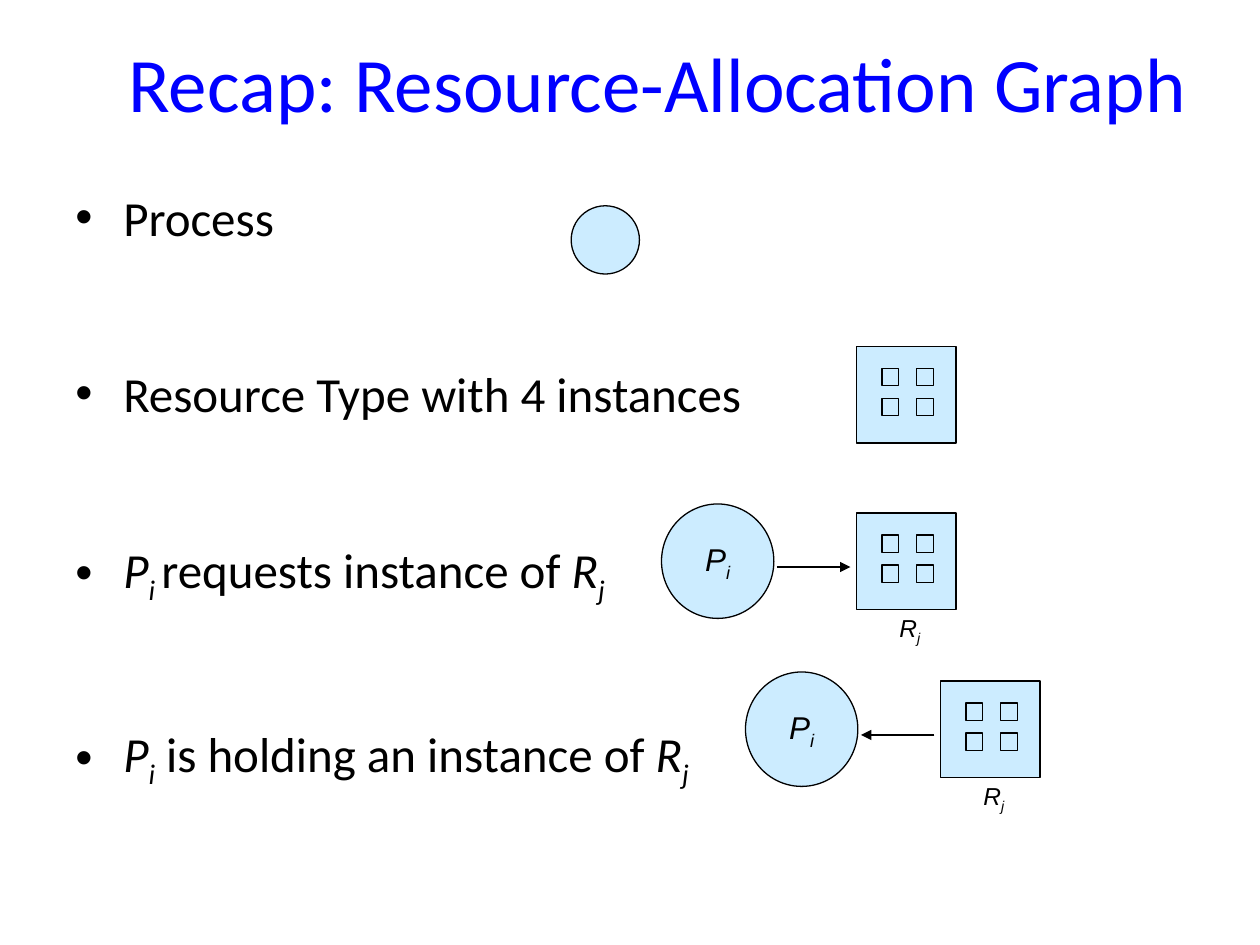
import pptx
import pptx.dml.color
import pptx.enum.shapes
import pptx.enum.text
import pptx.oxml
import pptx.oxml.ns
import pptx.util

COLOURS = {"title": "0000FF", "text": "000000", "line": "000000", "fill": "CCECFF"}
COLUMNS, ROWS = 120, 90
SHAPES = pptx.enum.shapes.MSO_SHAPE
ALIGN = pptx.enum.text.PP_ALIGN
MIDDLE = pptx.enum.text.MSO_ANCHOR.MIDDLE

# A label is a list of (text, style) spans.
PROCESS = [("P", "italic"), ("i", "sub")]
RESOURCE = [("R", "italic"), ("j", "sub")]
BULLETS = [
    [("Process", "plain")],
    [("Resource Type with 4 instances", "plain")],
    [("P", "italic"), ("i ", "sub"), ("requests instance of ", "plain")] + RESOURCE,
    PROCESS + [(" is holding an instance of ", "plain")] + RESOURCE,
]


def colour(name):
    return pptx.dml.color.RGBColor.from_string(COLOURS[name])


def add_xml(parent, tag, attributes=""):
    namespace = pptx.oxml.ns.nsdecls("a")
    parent.append(pptx.oxml.parse_xml(f"<a:{tag} {namespace} {attributes}/>"))


class Diagram:
    """Holds the slide and its style; lengths are columns and rows."""

    def __init__(self, deck):
        self.page = deck.slides.add_slide(deck.slide_layouts[6])
        self.column = deck.slide_width / COLUMNS
        self.row = deck.slide_height / ROWS

    def place(self, left, top, width, height):
        return [round(left * self.column), round(top * self.row),
                round(width * self.column), round(height * self.row)]

    def add_spans(self, paragraph, spans, size, font, ink="text"):
        for text, style in spans:
            span = paragraph.add_run()
            span.text = text
            span.font.size = pptx.util.Pt(size)
            span.font.name = font
            span.font.color.rgb = colour(ink)
            span.font.italic = style != "plain"
            if style == "sub":
                span.font._element.set("baseline", "-25000")

    def text_box(self, *area):
        box = self.page.shapes.add_textbox(*self.place(*area))
        box.text_frame.word_wrap = True
        return box.text_frame

    def centred(self, frame, spans, size, font, ink="text"):
        frame.vertical_anchor = MIDDLE
        frame.paragraphs[0].alignment = ALIGN.CENTER
        self.add_spans(frame.paragraphs[0], spans, size, font, ink)

    def bullets(self, items, gap, *area):
        frame = self.text_box(*area)
        for index, spans in enumerate(items):
            paragraph = frame.add_paragraph() if index else frame.paragraphs[0]
            paragraph.space_before = pptx.util.Pt(gap if index else 0)
            self.add_spans(paragraph, spans, 28, "Calibri")
            properties = paragraph._p.get_or_add_pPr()
            indent = pptx.util.Inches(0.38)
            properties.set("marL", str(int(indent)))
            properties.set("indent", str(-int(indent)))
            add_xml(properties, "buFont", 'typeface="Arial"')
            add_xml(properties, "buChar", 'char="•"')

    def outline(self, line):
        line.color.rgb = colour("line")
        line.width = pptx.util.Pt(0.75)

    def shape(self, shapes, kind, *area):
        shape = shapes.add_shape(kind, *self.place(*area))
        shape.shadow.inherit = False
        shape.fill.solid()
        shape.fill.fore_color.rgb = colour("fill")
        self.outline(shape.line)
        return shape

    def process(self, left, top, width, height, label=()):
        circle = self.shape(self.page.shapes, SHAPES.OVAL, left, top, width, height)
        if label:
            circle.text_frame.word_wrap = False
            self.centred(circle.text_frame, label, 18, "Arial")

    def resource(self, left, top, label=()):
        """A square with four instances, and its label below."""
        group = self.page.shapes.add_group_shape()
        self.shape(group.shapes, SHAPES.RECTANGLE, left, top, 9.45, 9.2)
        for down in (2.1, 4.95):
            for across in (2.4, 5.7):
                self.shape(group.shapes, SHAPES.RECTANGLE,
                           left + across, top + down, 1.6, 1.65)
        if label:
            frame = self.text_box(left + 1.4, top + 9.1, 7.3, 4.1)
            self.centred(frame, label, 14, "Arial")

    def arrow(self, start, end, row):
        ends = [round(value) for value in (start * self.column, row * self.row,
                                           end * self.column, row * self.row)]
        line = self.page.shapes.add_connector(
            pptx.enum.shapes.MSO_CONNECTOR.STRAIGHT, *ends)
        self.outline(line.line)
        add_xml(line.line._get_or_add_ln(), "tailEnd", 'type="triangle"')
        add_xml(line._element.spPr, "effectLst")

    def relation(self, left, top, requests):
        """A process and a resource; a request points at the resource."""
        self.process(left, top, 10.7, 10.9, PROCESS)
        self.resource(left + 18.6, top + 0.85, RESOURCE)
        start, end = left + 11, left + 18
        if not requests:
            start, end = end, start
        self.arrow(start, end, top + 6)


def main():
    deck = pptx.Presentation()
    deck.slide_width = pptx.util.Inches(10)
    deck.slide_height = pptx.util.Inches(7.5)
    diagram = Diagram(deck)
    title = diagram.text_box(6, 4, 113.3, 7.5)
    diagram.centred(title, [("Recap: Resource-Allocation Graph", "plain")],
                    44, "Calibri", "title")
    diagram.bullets(BULLETS, 67, 6, 17.25, 96.4, 59.4)
    diagram.process(54.4, 19.6, 6.5, 6.5)
    diagram.resource(81.6, 33)
    diagram.relation(63, 48, requests=True)
    diagram.relation(71, 64, requests=False)
    deck.save("out.pptx")


if __name__ == "__main__":
    main()
